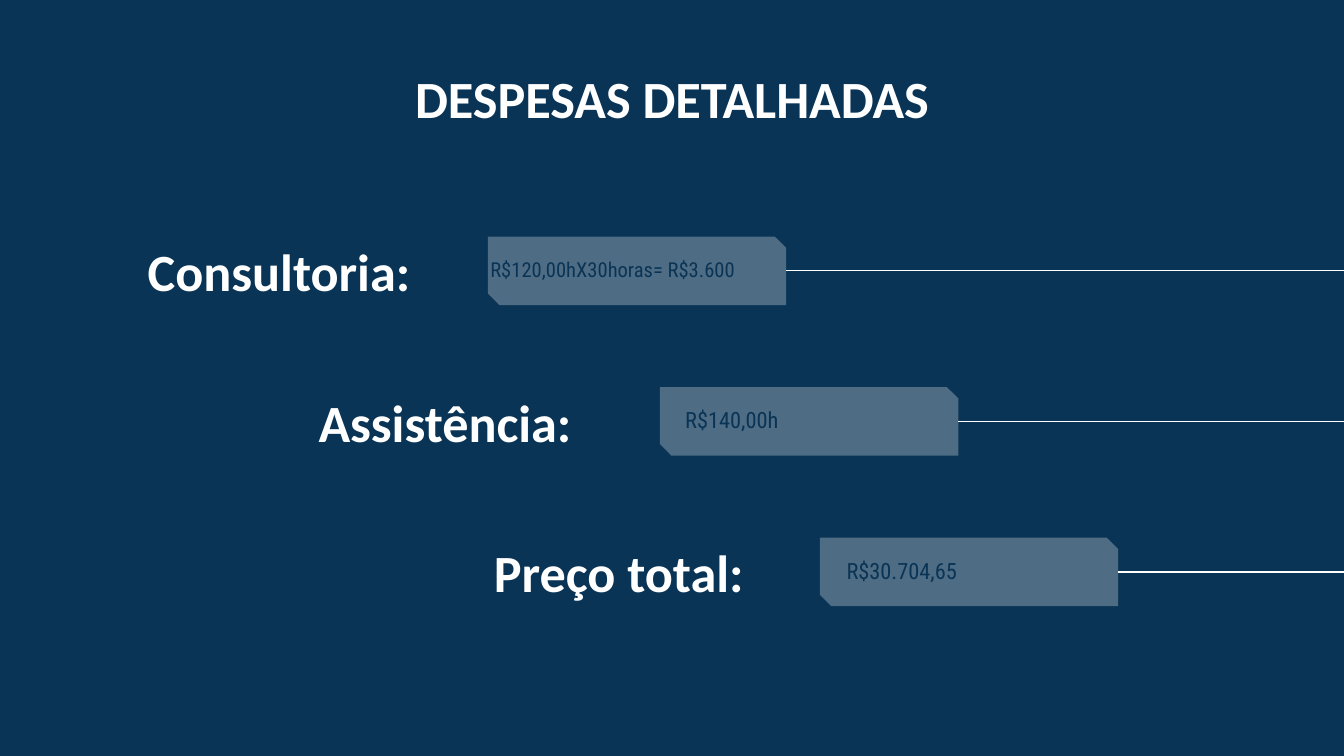
from dataclasses import dataclass
from lxml.etree import SubElement
from pptx import Presentation
from pptx.dml.color import RGBColor as RGB
from pptx.enum.shapes import MSO_CONNECTOR as LINE, MSO_SHAPE as SHAPE
from pptx.enum.text import MSO_ANCHOR as ANCHOR, PP_ALIGN as ALIGN
from pptx.oxml.ns import qn
from pptx.util import Inches, Pt


@dataclass(frozen=True)
class Theme:
    """Colours, fonts and type sizes of the slide."""
    navy: RGB = RGB(0x0A, 0x34, 0x55)
    white: RGB = RGB(0xFF, 0xFF, 0xFF)
    head: str = "Calibri"
    body: str = "Roboto Condensed"
    large: int = 28
    small: int = 12
    tight: int = 11
    alpha: int = 28


@dataclass(frozen=True)
class Cost:
    """One expense: its texts, tag position, label gap and value inset."""
    label: str
    value: str
    left: float
    wide: float
    gap: float
    inset: float
    size: int


THEME = Theme()
WIDTH = 10
HEIGHT = WIDTH * 9 / 16
TAG_W, TAG_H = 2.22, 0.51
TOP, STEP = 1.76, 1.12
COSTS = (
    Cost("Consultoria:", "R$120,00hX30horas= R$3.600", 3.63, 2.22, 0.48, -0.08, THEME.tight),
    Cost("Assistência:", "R$140,00h", 4.91, 2.2, 0.56, 0.09, THEME.small),
    Cost("Preço total:", "R$30.704,65", 6.1, 2.48, 0.47, 0.1, THEME.small),
)


def add_text(slide, box, text, font, size, color, align=ALIGN.LEFT,
             anchor=ANCHOR.MIDDLE, bold=False):
    """Place one line of text in the given box."""
    frame = slide.shapes.add_textbox(*map(Inches, box)).text_frame
    frame.word_wrap = True
    frame.vertical_anchor = anchor
    frame.margin_left = frame.margin_right = Inches(0.1)
    frame.margin_top = frame.margin_bottom = Inches(0.1)
    para = frame.paragraphs[0]
    para.text = text
    para.alignment = align
    face = para.font
    face.name, face.size, face.bold = font, Pt(size), bold
    face.color.rgb = color


def add_title(slide, box):
    """Place the slide heading."""
    add_text(slide, box, "DESPESAS DETALHADAS", THEME.head, THEME.large,
             THEME.white, ALIGN.CENTER, ANCHOR.TOP, True)


def add_rule(slide, start, end, y):
    """Draw a thin horizontal line."""
    rule = slide.shapes.add_connector(
        LINE.STRAIGHT, Inches(start), Inches(y), Inches(end), Inches(y))
    rule.line.color.rgb = THEME.white
    rule.line.width = Pt(0.75)
    SubElement(rule._element.spPr, qn("a:effectLst"))


def add_tag(slide, box):
    """Draw a translucent tag with two snipped corners."""
    tag = slide.shapes.add_shape(SHAPE.SNIP_2_DIAG_RECTANGLE, *map(Inches, box))
    tag.adjustments[0] = 0
    tag.adjustments[1] = 0.167
    tag.shadow.inherit = False
    tag.line.fill.background()
    tag.fill.solid()
    tag.fill.fore_color.rgb = THEME.white
    color = tag._element.spPr.find(qn("a:solidFill"))[0]
    SubElement(color, qn("a:alpha"), val=str(THEME.alpha * 1000))


def add_cost(slide, box, cost):
    """Place a label, tag, value and line around the tag's box."""
    left, top, width, height = box
    add_rule(slide, left + width, WIDTH, top + height / 2)
    add_text(slide, (left - cost.gap - cost.wide, top - 0.16, cost.wide, 0.83),
             cost.label, THEME.head, THEME.large, THEME.white,
             ALIGN.RIGHT, bold=True)
    add_tag(slide, box)
    add_text(slide, (left + cost.inset, top + 0.06, width, 0.37),
             cost.value, THEME.body, cost.size, THEME.navy)


def main():
    """Build and save the slide."""
    deck = Presentation()
    deck.slide_width, deck.slide_height = Inches(WIDTH), Inches(HEIGHT)
    slide = deck.slides.add_slide(deck.slide_layouts[6])
    fill = slide.background.fill
    fill.solid()
    fill.fore_color.rgb = THEME.navy
    add_title(slide, (2.15, 0.39, 5.7, 1.03))
    for row, cost in enumerate(COSTS):
        add_cost(slide, (cost.left, TOP + row * STEP, TAG_W, TAG_H), cost)
    deck.save("out.pptx")


if __name__ == "__main__":
    main()
